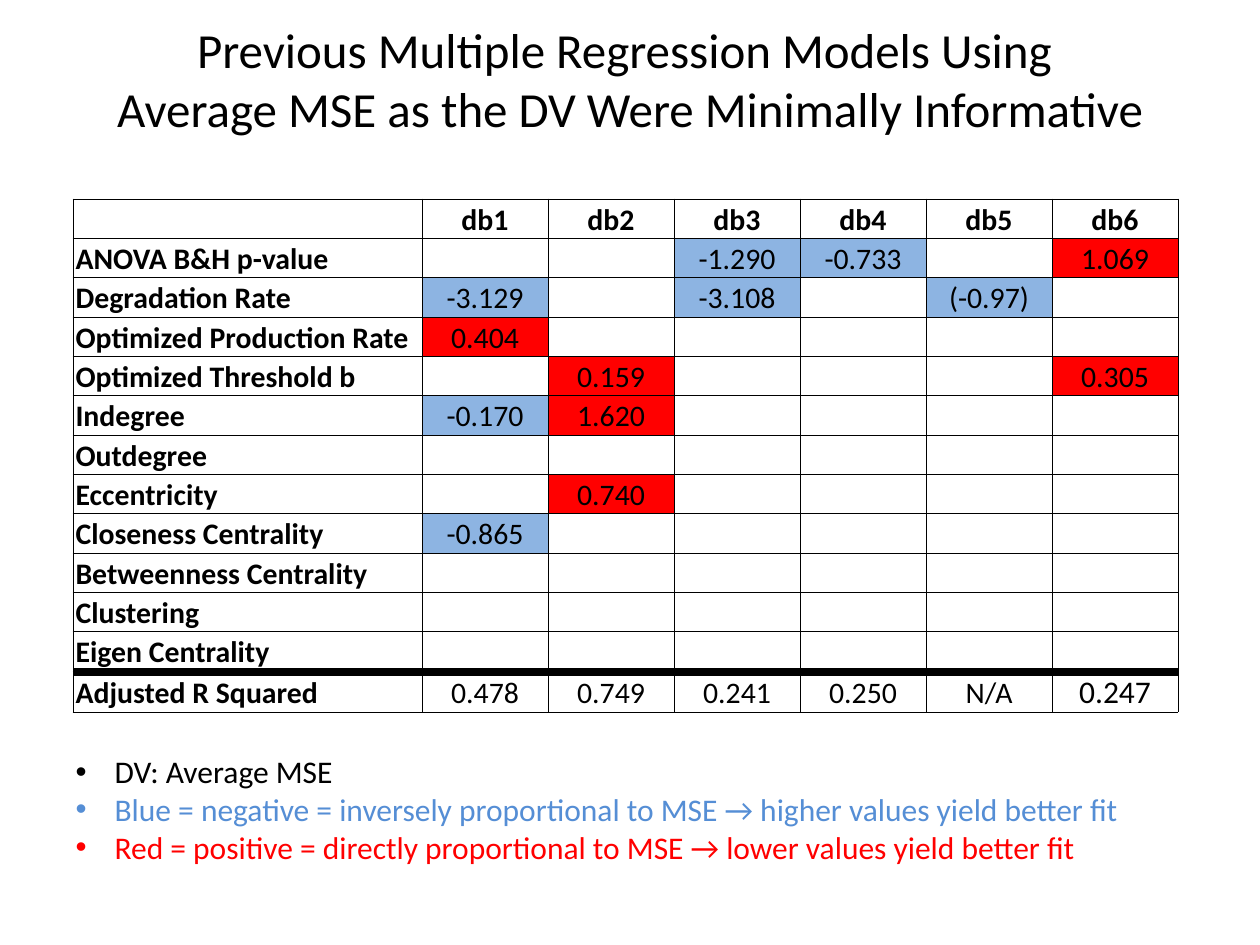
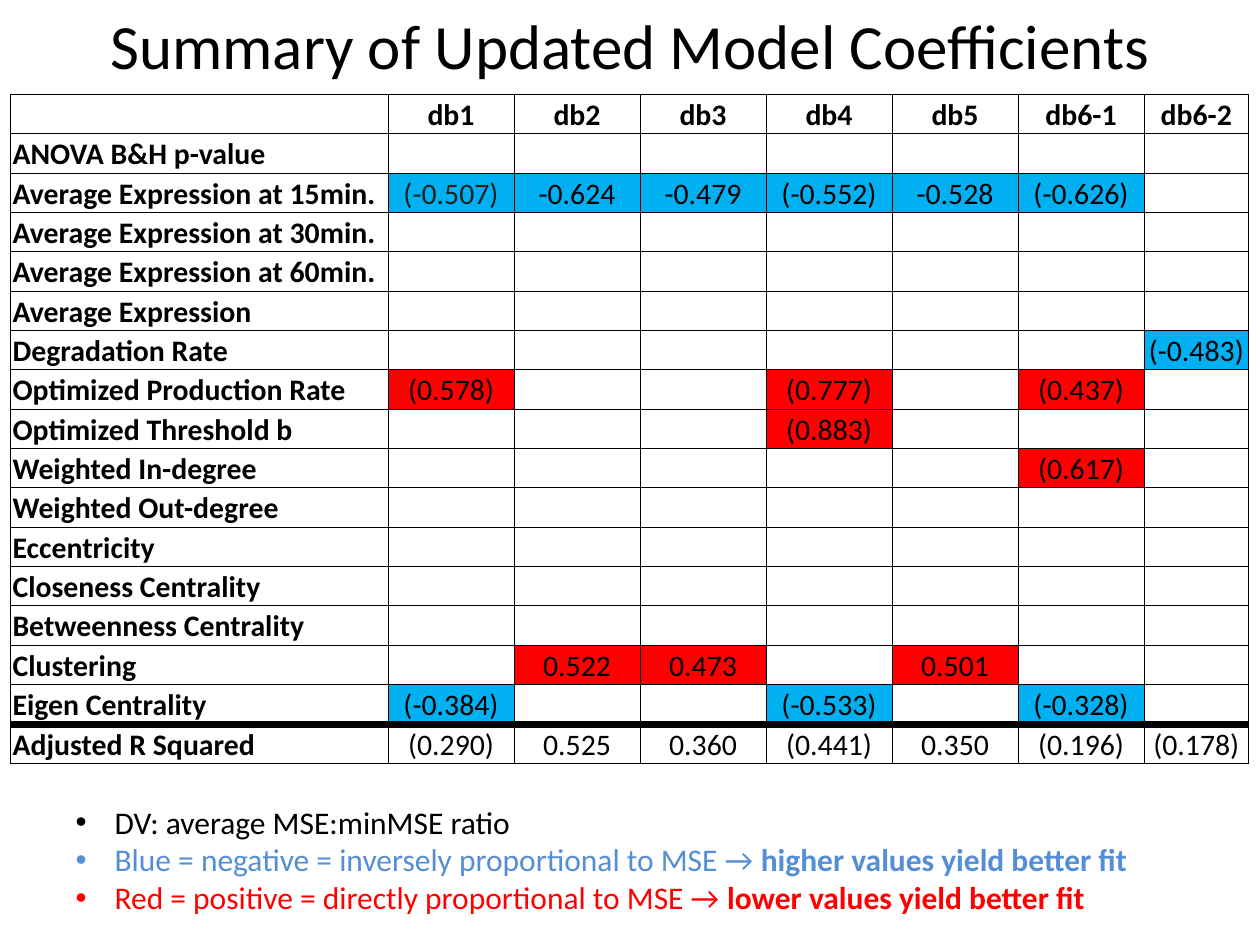
from lxml.etree import SubElement
from pptx import Presentation
from pptx.dml.color import RGBColor
from pptx.enum.shapes import MSO_CONNECTOR
from pptx.enum.text import MSO_ANCHOR, MSO_AUTO_SIZE, PP_ALIGN
from pptx.oxml.ns import qn
from pptx.util import Inches, Pt

FONT = "Calibri"
BLACK, RED, LEGEND_BLUE = "000000", "FF0000", "558ED5"
ROW_HEIGHT = 5 / 16
CELL_SIZE = 17
CELL_INSET = 0.02
SUMMARY = "Adjusted R Squared"
BLUE_RULE = "Blue = negative = inversely proportional to MSE → "
RED_RULE = "Red = positive = directly proportional to MSE → "
BLUE_MEANING = "higher values yield better fit"
RED_MEANING = "lower values yield better fit"

MODELS = [
    {
        "title": ["Previous Multiple Regression Models Using ",
                  "Average MSE as the DV Were Minimally Informative"],
        "title_size": 28,
        "title_anchor": MSO_ANCHOR.MIDDLE,
        "table_at": (0.58, 1.58),
        "label_width": 2.77,
        "datasets": {"db1": 1, "db2": 1, "db3": 1, "db4": 1, "db5": 1, "db6": 1},
        "negative_fill": "8DB4E2",
        "coefficients": [
            ("ANOVA B&H p-value", {"db3": "-1.290", "db4": "-0.733", "db6": "1.069"}),
            ("Degradation Rate", {"db1": "-3.129", "db3": "-3.108", "db5": "(-0.97)"}),
            ("Optimized Production Rate", {"db1": "0.404"}),
            ("Optimized Threshold b", {"db2": "0.159", "db6": "0.305"}),
            ("Indegree", {"db1": "-0.170", "db2": "1.620"}),
            ("Outdegree", {}),
            ("Eccentricity", {"db2": "0.740"}),
            ("Closeness Centrality", {"db1": "-0.865"}),
            ("Betweenness Centrality", {}),
            ("Clustering", {}),
            ("Eigen Centrality", {}),
            (SUMMARY, {"db1": "0.478", "db2": "0.749", "db3": "0.241",
                       "db4": "0.250", "db5": "N/A", "db6": "0.247"}),
        ],
        "exceptions": {(SUMMARY, "db6"): {"size": 18}},
        "legend_top": 5.92,
        "dependent_variable": "DV: Average MSE",
        "bold_meaning": False,
    },
    {
        "title": ["Summary of Updated Model Coefficients"],
        "title_size": 36,
        "title_anchor": MSO_ANCHOR.TOP,
        "table_at": (0.08, 0.75),
        "label_width": 3,
        "datasets": {"db1": 1, "db2": 1, "db3": 1, "db4": 1, "db5": 1,
                     "db6-1": 1, "db6-2": 0.83},
        "negative_fill": "00B0F0",
        "coefficients": [
            ("ANOVA B&H p-value", {}),
            ("Average Expression at 15min.",
             {"db1": "(-0.507)", "db2": "-0.624", "db3": "-0.479",
              "db4": "(-0.552)", "db5": "-0.528", "db6-1": "(-0.626)"}),
            ("Average Expression at 30min.", {}),
            ("Average Expression at 60min.", {}),
            ("Average Expression", {}),
            ("Degradation Rate", {"db6-2": "(-0.483)"}),
            ("Optimized Production Rate",
             {"db1": "(0.578)", "db4": "(0.777)", "db6-1": "(0.437)"}),
            ("Optimized Threshold b", {"db4": "(0.883)"}),
            ("Weighted In-degree", {"db6-1": "(0.617)"}),
            ("Weighted Out-degree", {}),
            ("Eccentricity", {}),
            ("Closeness Centrality", {}),
            ("Betweenness Centrality", {}),
            ("Clustering", {"db2": "0.522", "db3": "0.473", "db5": "0.501"}),
            ("Eigen Centrality",
             {"db1": "(-0.384)", "db4": "(-0.533)", "db6-1": "(-0.328)"}),
            (SUMMARY, {"db1": "(0.290)", "db2": "0.525", "db3": "0.360",
                       "db4": "(0.441)", "db5": "0.350", "db6-1": "(0.196)",
                       "db6-2": "(0.178)"}),
        ],
        "exceptions": {("Average Expression at 15min.", "db1"): {"color": "222222"}},
        "legend_top": 6.32,
        "dependent_variable": "DV: average MSE:minMSE ratio",
        "bold_meaning": True,
    },
]


def rgb(color):
    return RGBColor.from_string(color)


def place(shape, left, top, width, height):
    shape.left, shape.top = Inches(left), Inches(top)
    shape.width, shape.height = Inches(width), Inches(height)


def add_run(paragraph, text, size, color=BLACK, bold=False):
    run = paragraph.add_run()
    run.text = text
    run.font.name = FONT
    run.font.size = Pt(size)
    run.font.bold = bold
    run.font.color.rgb = rgb(color)


def add_title(slide, model):
    title = slide.shapes.title
    place(title, 0.5, 0, 9, 1.25)
    frame = title.text_frame
    frame.auto_size = MSO_AUTO_SIZE.NONE
    frame.vertical_anchor = model["title_anchor"]
    paragraph = frame.paragraphs[0]
    paragraph.alignment = PP_ALIGN.CENTER
    for number, line in enumerate(model["title"]):
        if number:
            paragraph.add_line_break()
        add_run(paragraph, line, model["title_size"])


def add_borders(cell):
    properties = cell._tc.get_or_add_tcPr()
    for side in ("lnL", "lnR", "lnT", "lnB"):
        border = SubElement(properties, qn(f"a:{side}"), w=str(Pt(0.5)))
        fill = SubElement(border, qn("a:solidFill"))
        SubElement(fill, qn("a:srgbClr"), val=BLACK)


def fill_cell(cell, text, fill=None, centred=True, size=CELL_SIZE, **style):
    cell.margin_left = cell.margin_right = cell.margin_top = Inches(CELL_INSET)
    cell.margin_bottom = 0
    cell.vertical_anchor = MSO_ANCHOR.MIDDLE
    add_borders(cell)
    if fill:
        cell.fill.solid()
        cell.fill.fore_color.rgb = rgb(fill)
    else:
        cell.fill.background()
    paragraph = cell.text_frame.paragraphs[0]
    paragraph.alignment = PP_ALIGN.CENTER if centred else PP_ALIGN.LEFT
    if text:
        add_run(paragraph, text, size, **style)
    else:
        # The end mark's size keeps an empty cell from stretching its row
        SubElement(paragraph._p, qn("a:endParaRPr"), sz=str(size * 100))


def coefficient_fill(label, value, negative_fill):
    if not value or label == SUMMARY:
        return None
    return negative_fill if "-" in value else RED


def add_coefficients(slide, model):
    left, top = model["table_at"]
    datasets, coefficients = model["datasets"], model["coefficients"]
    widths = [model["label_width"], *datasets.values()]
    row_count = len(coefficients) + 1
    table = slide.shapes.add_table(
        row_count, len(widths), Inches(left), Inches(top),
        Inches(sum(widths)), Inches(row_count * ROW_HEIGHT)).table
    table.first_row = table.horz_banding = False
    for column, width in zip(table.columns, widths):
        column.width = Inches(width)
    for row in table.rows:
        row.height = Inches(ROW_HEIGHT)

    for column, heading in enumerate(["", *datasets]):
        fill_cell(table.cell(0, column), heading, bold=True)
    for row, (label, values) in enumerate(coefficients, 1):
        fill_cell(table.cell(row, 0), label, centred=False, bold=True)
        for column, dataset in enumerate(datasets, 1):
            value = values.get(dataset, "")
            fill_cell(table.cell(row, column), value,
                      coefficient_fill(label, value, model["negative_fill"]),
                      **model["exceptions"].get((label, dataset), {}))

    summary_top = Inches(top + len(coefficients) * ROW_HEIGHT)
    rule = slide.shapes.add_connector(
        MSO_CONNECTOR.STRAIGHT, Inches(left), summary_top,
        Inches(left + sum(widths)), summary_top)
    rule.line.color.rgb = rgb(BLACK)
    rule.line.width = Pt(4.5)
    SubElement(rule._element.spPr, qn("a:effectLst"))


def add_legend(slide, model):
    legend = slide.placeholders[1]
    place(legend, 0.5, model["legend_top"], 9.67, 1.01)
    frame = legend.text_frame
    frame.word_wrap = True
    frame.auto_size = MSO_AUTO_SIZE.NONE
    bold = model["bold_meaning"]
    entries = [
        (BLACK, [(model["dependent_variable"], False)]),
        (LEGEND_BLUE, [(BLUE_RULE, False), (BLUE_MEANING, bold)]),
        (RED, [(RED_RULE, False), (RED_MEANING, bold)]),
    ]
    for number, (color, parts) in enumerate(entries):
        paragraph = frame.add_paragraph() if number else frame.paragraphs[0]
        paragraph.space_before = Pt(0)
        properties = paragraph._p.get_or_add_pPr()
        properties.set("marL", str(Inches(0.31)))
        properties.set("indent", str(-Inches(0.31)))
        SubElement(properties, qn("a:buFont"), typeface="Arial")
        SubElement(properties, qn("a:buChar"), char="•")
        for text, is_bold in parts:
            add_run(paragraph, text, 18, color, is_bold)


def main():
    deck = Presentation()
    deck.slide_width, deck.slide_height = Inches(10), Inches(7.5)
    title_and_content = deck.slide_layouts[1]
    for model in MODELS:
        slide = deck.slides.add_slide(title_and_content)
        add_title(slide, model)
        add_coefficients(slide, model)
        add_legend(slide, model)
    deck.save("out.pptx")


if __name__ == "__main__":
    main()
